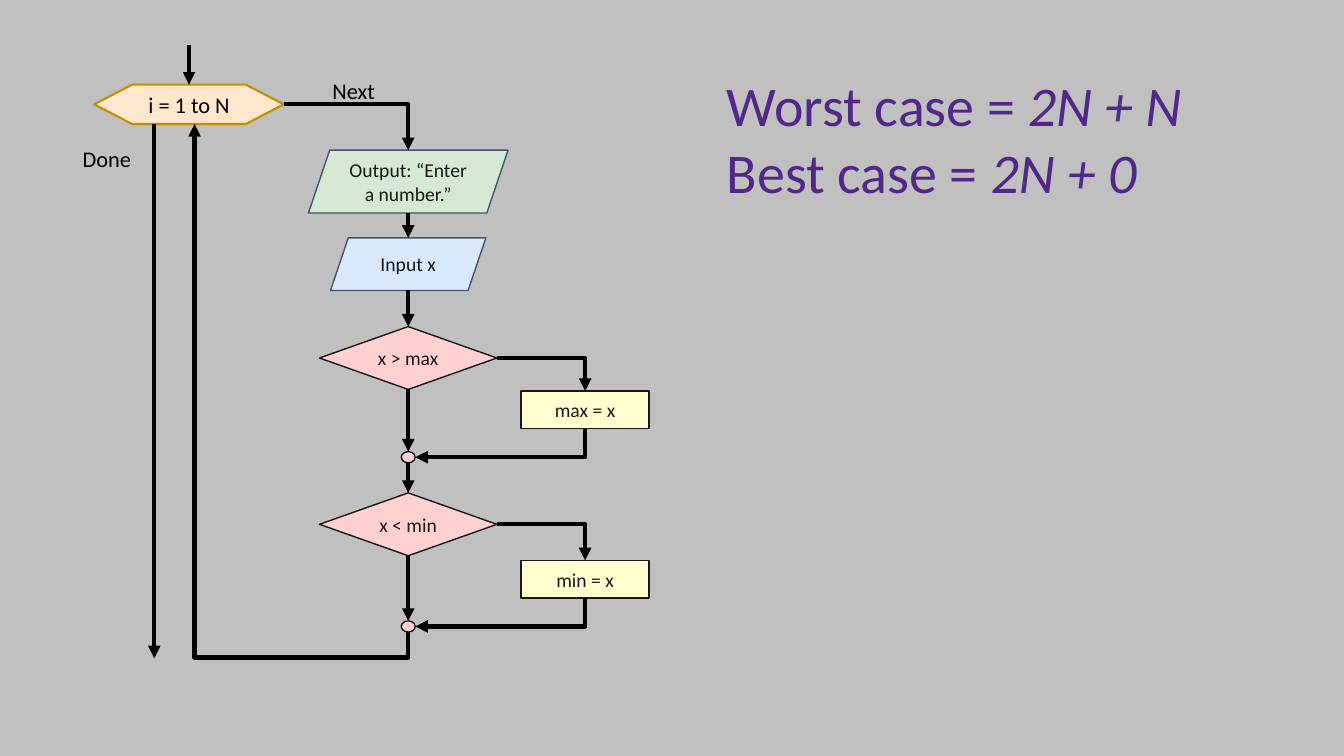
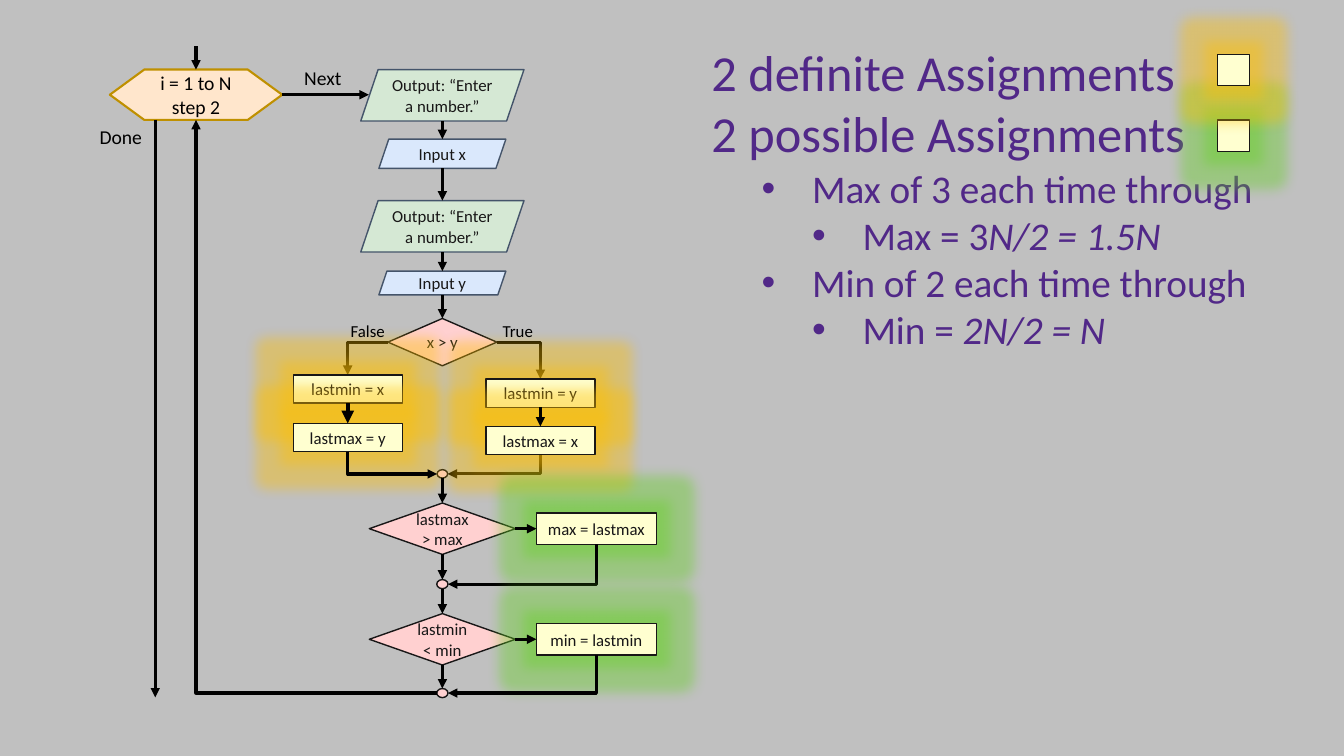
from dataclasses import dataclass

from lxml import etree
from pptx import Presentation
from pptx.dml.color import RGBColor
from pptx.enum.shapes import MSO_CONNECTOR, MSO_SHAPE
from pptx.enum.text import MSO_ANCHOR, MSO_AUTO_SIZE, PP_ALIGN
from pptx.oxml.ns import qn
from pptx.slide import Slide
from pptx.util import Pt

LINE, BENT = MSO_CONNECTOR.STRAIGHT, MSO_CONNECTOR.ELBOW
TOP, MIDDLE = MSO_ANCHOR.TOP, MSO_ANCHOR.MIDDLE
LEFT, CENTER = PP_ALIGN.LEFT, PP_ALIGN.CENTER
SLANT = MSO_SHAPE.PARALLELOGRAM
FONT = "Calibri"
COLORS = {
    "back": "C0C0C0", "title": "512888", "black": "000000", "ink": "181717",
    "peach": "FFE6CC", "gold": "BF9000", "mint": "D5E8D4", "sky": "DAE8FC",
    "slate": "44546A", "pink": "FFD0D0", "cream": "FFFFD0",
    "amber": "FFC000", "lime": "64D222",
}
KINDS = {
    "loop": (MSO_SHAPE.FLOWCHART_PREPARATION, "peach", "gold", 1.5),
    "out": (SLANT, "mint", "slate", 1),
    "in": (SLANT, "sky", "slate", 1),
    "test": (MSO_SHAPE.DIAMOND, "pink", "ink", 1),
    "act": (MSO_SHAPE.RECTANGLE, "cream", "ink", 1),
    "join": (MSO_SHAPE.OVAL, "pink", "ink", 1),
}
ASK = "Output: “Enter a number.”"


@dataclass
class Area:
    slide: Slide
    left: float
    top: float
    size: float = 12
    width: float = 2.25


def color(name):
    return RGBColor.from_string(COLORS[name])


def write(frame, lines, size, ink="black", align=LEFT, anchor=TOP, bullet=False):
    frame.word_wrap = True
    frame.auto_size = MSO_AUTO_SIZE.NONE
    frame.vertical_anchor = anchor
    for i, (level, *parts) in enumerate(lines):
        para = frame.paragraphs[0] if i == 0 else frame.add_paragraph()
        if bullet:
            props = para._p.get_or_add_pPr()
            props.set("marL", str(Pt(36 + 36 * level)))
            props.set("indent", str(-Pt(36)))
            etree.SubElement(props, qn("a:buFont")).set("typeface", "Arial")
            etree.SubElement(props, qn("a:buChar")).set("char", "•")
        para.level = level
        para.alignment = align
        for j, part in enumerate(parts):
            run = para.add_run()
            run.text = part
            run.font.name = FONT
            run.font.size = Pt(size)
            run.font.italic = j > 0
            run.font.color.rgb = color(ink)


def label(area, text, x, y, w, size):
    box = area.slide.shapes.add_textbox(
        Pt(area.left + x), Pt(area.top + y), Pt(w), Pt(size + 10))
    write(box.text_frame, [(0, text)], size)


def node(area, kind, x, y, w, h, text="", size=None, glow=None):
    form, fill, edge, width = KINDS[kind]
    shape = area.slide.shapes.add_shape(
        form, Pt(area.left + x - w / 2), Pt(area.top + y), Pt(w), Pt(h))
    shape.shadow.inherit = False
    shape.fill.solid()
    shape.fill.fore_color.rgb = color(fill)
    shape.line.color.rgb = color(edge)
    shape.line.width = Pt(width)
    if form == SLANT:
        shape.adjustments[0] = 0.338
    if glow:
        effects = shape._element.spPr.find(qn("a:effectLst"))
        halo = etree.SubElement(effects, qn("a:glow"), rad=str(Pt(18)))
        tone = etree.SubElement(halo, qn("a:srgbClr"), val=COLORS[glow])
        etree.SubElement(tone, qn("a:alpha"), val="40000")
    if text:
        ink = "black" if kind == "loop" else "ink"
        write(shape.text_frame, [(0, text)], size or area.size, ink, CENTER, MIDDLE)
    return shape


def port(area, shape, side):
    x, y = shape.left.pt - area.left, shape.top.pt - area.top
    w, h = shape.width.pt, shape.height.pt
    return {"top": (x + w / 2, y), "bottom": (x + w / 2, y + h),
            "left": (x, y + h / 2), "right": (x + w, y + h / 2)}[side]


def link(area, start, end, bend=None, width=None):
    (x1, y1), (x2, y2) = start, end
    turned = bend in ("down", "loop")
    if turned:
        midx, midy = (x1 + x2) / 2, (y1 + y2) / 2
        halfw, halfh = abs(y2 - y1) / 2, abs(x2 - x1) / 2
        dirx = -1 if bend == "loop" else 1
        diry = -1 if x2 > x1 else 1
        x1, x2 = midx - dirx * halfw, midx + dirx * halfw
        y1, y2 = midy - diry * halfh, midy + diry * halfh
    line = area.slide.shapes.add_connector(
        BENT if bend else LINE, Pt(area.left + x1), Pt(area.top + y1),
        Pt(area.left + x2), Pt(area.top + y2))
    line.line.color.rgb = color("black")
    line.line.width = Pt(width or area.width)
    props = line._element.spPr
    shape = props.find(qn("a:prstGeom"))
    if turned:
        props.find(qn("a:xfrm")).set("rot", "5400000")
    if bend == "loop":
        etree.SubElement(shape.find(qn("a:avLst")), qn("a:gd"),
                         name="adj1", fmla="val -5000")
    elif bend:
        shape.set("prst", "bentConnector2")
    etree.SubElement(props.find(qn("a:ln")), qn("a:tailEnd"), type="triangle")
    etree.SubElement(props, qn("a:effectLst"))


def join(area, a, b, bend=None, sides=("bottom", "top"), width=None):
    link(area, port(area, a, sides[0]), port(area, b, sides[1]), bend, width)


def chain(area, *nodes):
    for a, b in zip(nodes, nodes[1:]):
        join(area, a, b)


def title(slide, lines, size, x, y, w, h):
    head = slide.shapes.title
    head.left, head.top, head.width, head.height = Pt(x), Pt(y), Pt(w), Pt(h)
    write(head.text_frame, lines, size, "title")


def simple(area):
    mid, side = 239.6, 366
    loop = node(area, "loop", 83, 28.1, 135.4, 28.1, "i = 1 to N", 16)
    ask = node(area, "out", mid, 74.9, 142.6, 44.9, ASK)
    read = node(area, "in", mid, 137.5, 111, 37.6, "Input x")
    link(area, (83, 0), port(area, loop, "top"))
    link(area, (58.2, 56.2), (58.2, 437.8))
    join(area, loop, ask, "across", ("right", "top"))
    label(area, "Next", 178.4, 19.4, 78, 16)
    label(area, "Done", 0, 67.7, 58, 16)
    chain(area, ask, read)
    last = read
    for y, acty, dot, check, act in (
            (200.9, 246.9, 290.2, "x > max", "max = x"),
            (319.7, 367.9, 411.1, "x < min", "min = x")):
        test = node(area, "test", mid, y, 126.7, 44.9, check)
        step = node(area, "act", side, acty, 91.4, 26.9, act)
        meet = node(area, "join", mid, dot, 10, 8)
        chain(area, last, test, meet)
        join(area, test, step, "across", ("right", "top"))
        join(area, step, meet, "down", ("bottom", "right"))
        last = meet
    link(area, port(area, last, "bottom"), (87, 56.2), "loop")


def paired(area):
    mid, side, west, east = 252, 362, 184.4, 322
    loop = node(area, "loop", 76, 16.7, 123.1, 36, "i = 1 to N step 2", 14)
    link(area, (76, 0), port(area, loop, "top"))
    link(area, (46.9, 52.7), (46.9, 465.2))
    link(area, port(area, loop, "right"), (199.5, 34.7))
    label(area, "Next", 146.2, 10.2, 63, 14)
    label(area, "Done", 0, 52.7, 48, 14)
    steps = [node(area, kind, mid, y, w, h, text) for kind, y, w, h, text in (
        ("out", 16.7, 116.6, 36.7, ASK), ("in", 66.4, 90.7, 20.9, "Input x"),
        ("out", 110.3, 116.6, 36.7, ASK), ("in", 160.7, 90.7, 17, "Input y"),
        ("test", 194.5, 77.8, 33.8, "x > y"))]
    chain(area, *steps)
    split = steps[-1]
    meet = node(area, "join", mid, 302.5, 7.5, 6)
    link(area, port(area, split, "left"), (west, 234.8), "across")
    link(area, port(area, split, "right"), (east, 237.7), "across")
    link(area, (east, 291.8), port(area, meet, "right"), "down")
    for x, ys, names, width in (
            (east, (237.7, 271.6), "yx", 2.25), (west, (234.8, 269.4), "xy", 3)):
        pair = [node(area, "act", x, y, 77.8, 20.2, f"{word} = {name}", glow="amber")
                for y, word, name in zip(ys, ("lastmin", "lastmax"), names)]
        join(area, *pair, width=width)
    join(area, pair[1], meet, "down", ("bottom", "left"))
    label(area, "False", 179.4, 192.4, 48, 12)
    label(area, "True", 288, 192.4, 40, 12)
    for y, dot, check, act in (
            (326.3, 381, "lastmax > max", "max = lastmax"),
            (405.3, 458.8, "lastmin < min", "min = lastmin")):
        test = node(area, "test", mid, y, 104.4, 36.7, check)
        step = node(area, "act", side, y + 7.2, 85.7, 22.3, act, glow="lime")
        dot = node(area, "join", mid, dot, 8, 6.5)
        chain(area, meet, test, dot)
        join(area, test, step, sides=("right", "left"))
        join(area, step, dot, "down", ("bottom", "right"))
        meet = dot
    join(area, meet, loop, "across", ("left", "bottom"))


def notes(slide, x, y, w, h):
    title(slide, [(0, "2 definite Assignments"), (0, "2 possible Assignments")],
          36, x, y, 362, 95)
    box = slide.shapes.add_textbox(Pt(x), Pt(y + 87.9), Pt(w), Pt(h - 87.9))
    write(box.text_frame, [
        (1, "Max of 3 each time through"), (2, "Max = 3", "N/2 = 1.5N"),
        (1, "Min of 2 each time through"), (2, "Min = ", "2N/2 = N"),
    ], 28, "title", bullet=True)
    area = Area(slide, x, y)
    for top, glow in ((59.8, "lime"), (13, "amber")):
        node(area, "act", 380, top, 23, 22.3, glow=glow)


def main():
    deck = Presentation()
    deck.slide_width, deck.slide_height = Pt(960), Pt(540)
    back = deck.slide_master.background.fill
    back.solid()
    back.fore_color.rgb = color("back")
    first, second = (deck.slides.add_slide(deck.slide_layouts[5]) for _ in range(2))
    title(first, [(0, "Worst case = ", "2N + N"), (0, "Best case = ", "2N + 0")],
          40, 512, 46.8, 402, 104.4)
    simple(Area(first, 52, 32.4, 14, 3))
    notes(second, 501, 26, 433.4, 230.4)
    paired(Area(second, 64, 33))
    deck.save("out.pptx")


if __name__ == "__main__":
    main()
